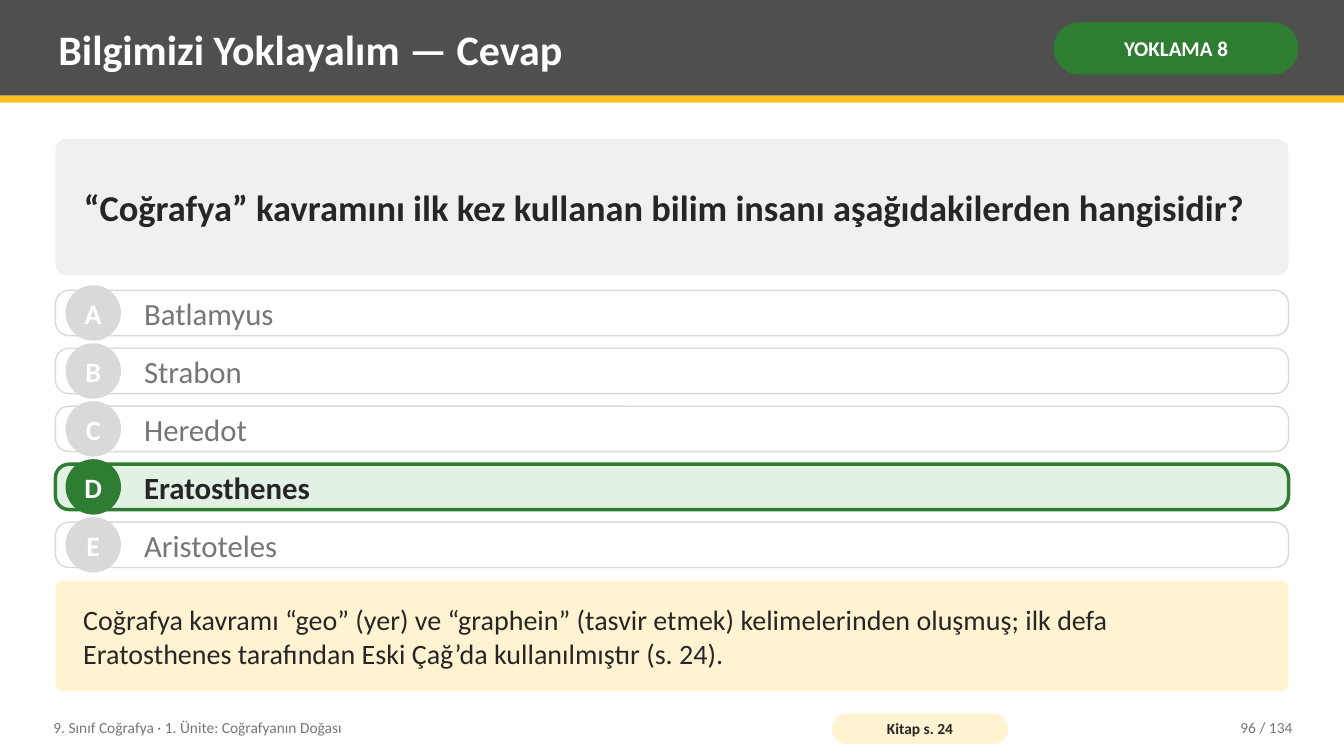
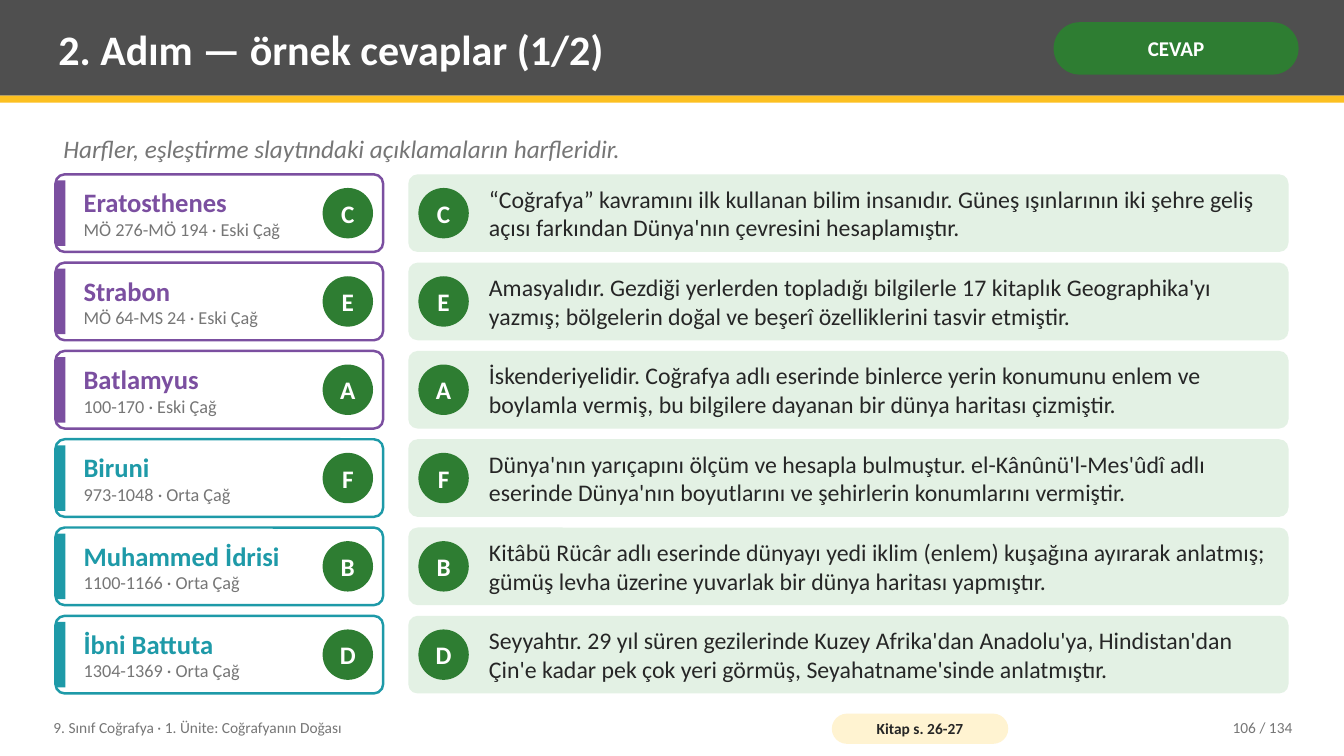
import dataclasses
import pptx
import pptx.util
import pptx.dml.color
import pptx.enum.shapes
import pptx.enum.text

Inches = pptx.util.Inches
SHAPE = pptx.enum.shapes.MSO_SHAPE
ALIGN = pptx.enum.text.PP_ALIGN


@dataclasses.dataclass(frozen=True)
class Theme:
    font: str = "Calibri"
    white: str = "FFFFFF"
    ink: str = "262626"
    muted: str = "767676"
    band: str = "4F4F4F"
    gold: str = "FCC021"
    cream: str = "FFF3D1"
    green: str = "2E7D32"
    mint: str = "E3F1E4"
    pale: str = "F0F0F0"
    rule: str = "D9D9D9"
    purple: str = "7B4FA0"
    teal: str = "1E9AA8"
    title: int = 30
    ask: int = 26
    choice: int = 22
    body: int = 20
    name: int = 19
    lead: int = 18
    match: int = 17
    tag: int = 15
    date: int = 13
    foot: int = 11


@dataclasses.dataclass(frozen=True)
class Run:
    text: str
    size: int
    color: str
    bold: bool = False
    slant: bool = False


T = Theme()
LEFT, WIDTH = 0.55, 12.23
PAD = (0.08, 0.04)
SLIM = (0.08, 0.02)
CARD = (0.25, 0.08)

CHOICES = ["Batlamyus", "Strabon", "Heredot", "Eratosthenes", "Aristoteles"]

PEOPLE = [
    ("Eratosthenes", "MÖ 276-MÖ 194 · Eski Çağ", "C", T.purple,
     "“Coğrafya” kavramını ilk kullanan bilim insanıdır. Güneş ışınlarının iki "
     "şehre geliş açısı farkından Dünya'nın çevresini hesaplamıştır."),
    ("Strabon", "MÖ 64-MS 24 · Eski Çağ", "E", T.purple,
     "Amasyalıdır. Gezdiği yerlerden topladığı bilgilerle 17 kitaplık Geographika'yı "
     "yazmış; bölgelerin doğal ve beşerî özelliklerini tasvir etmiştir."),
    ("Batlamyus", "100-170 · Eski Çağ", "A", T.purple,
     "İskenderiyelidir. Coğrafya adlı eserinde binlerce yerin konumunu enlem ve "
     "boylamla vermiş, bu bilgilere dayanan bir dünya haritası çizmiştir."),
    ("Biruni", "973-1048 · Orta Çağ", "F", T.teal,
     "Dünya'nın yarıçapını ölçüm ve hesapla bulmuştur. el-Kânûnü'l-Mes'ûdî adlı "
     "eserinde Dünya'nın boyutlarını ve şehirlerin konumlarını vermiştir."),
    ("Muhammed İdrisi", "1100-1166 · Orta Çağ", "B", T.teal,
     "Kitâbü Rücâr adlı eserinde dünyayı yedi iklim (enlem) kuşağına ayırarak anlatmış; "
     "gümüş levha üzerine yuvarlak bir dünya haritası yapmıştır."),
    ("İbni Battuta", "1304-1369 · Orta Çağ", "D", T.teal,
     "Seyyahtır. 29 yıl süren gezilerinde Kuzey Afrika'dan Anadolu'ya, Hindistan'dan "
     "Çin'e kadar pek çok yeri görmüş, Seyahatname'sinde anlatmıştır."),
]


def tint(code):
    return pptx.dml.color.RGBColor.from_string(code)


def write(shape, runs, pad=PAD, align=ALIGN.LEFT, wrap=True):
    frame = shape.text_frame
    frame.word_wrap = wrap
    frame.auto_size = pptx.enum.text.MSO_AUTO_SIZE.NONE
    frame.vertical_anchor = pptx.enum.text.MSO_ANCHOR.MIDDLE
    frame.margin_left = frame.margin_right = Inches(pad[0])
    frame.margin_top = frame.margin_bottom = Inches(pad[1])
    for i, item in enumerate(runs):
        para = frame.add_paragraph() if i else frame.paragraphs[0]
        para.alignment = align
        run = para.add_run()
        run.text = item.text
        font = run.font
        font.name, font.size = T.font, pptx.util.Pt(item.size)
        font.bold, font.italic = item.bold, item.slant
        font.color.rgb = tint(item.color)


def draw(slide, kind, box, fill, edge=None, thick=1, curve=None):
    shape = slide.shapes.add_shape(kind, *map(Inches, box))
    shape.shadow.inherit = False
    shape.fill.solid()
    shape.fill.fore_color.rgb = tint(fill)
    if edge:
        shape.line.color.rgb = tint(edge)
        shape.line.width = pptx.util.Pt(thick)
    else:
        shape.line.fill.background()
    if curve is not None:
        shape.adjustments[0] = curve
    return shape


def panel(slide, box, fill, curve, **edge):
    return draw(slide, SHAPE.ROUNDED_RECTANGLE, box, fill, curve=curve, **edge)


def label(slide, box, *runs, **style):
    write(slide.shapes.add_textbox(*map(Inches, box)), runs, **style)


def pill(slide, box, fill, run, pad):
    write(panel(slide, box, fill, 0.5), [run], pad, ALIGN.CENTER)


def badge(slide, left, mid, side, mark, size, fill=T.green):
    disc = draw(slide, SHAPE.OVAL, (left, mid - side / 2, side, side), fill)
    write(disc, [Run(mark, size, T.white, True)], (0, 0), ALIGN.CENTER, False)


def start(deck, title, tag, source, page):
    slide = deck.slides.add_slide(deck.slide_layouts[5])
    draw(slide, SHAPE.RECTANGLE, (0, 0, 13.33, 0.95), T.band)
    draw(slide, SHAPE.RECTANGLE, (0, 0.95, 13.33, 0.07), T.gold)
    head = slide.shapes.title
    head.element.getparent().append(head.element)
    head.left, head.top, head.width, head.height = map(Inches, (0.5, 0.07, 9.75, 0.82))
    write(head, [Run(title, T.title, T.white, True)])
    pill(slide, (10.45, 0.22, 2.43, 0.52), T.green,
         Run(tag, T.tag, T.white, True), (0.05, 0.02))
    label(slide, (0.45, 7.04, 7.6, 0.36),
          Run("9. Sınıf Coğrafya · 1. Ünite: Coğrafyanın Doğası", T.foot, T.muted))
    pill(slide, (8.25, 7.08, 1.75, 0.3), T.cream,
         Run(source, T.foot, T.ink, True), (0.04, 0))
    label(slide, (11.3, 7.04, 1.6, 0.36),
          Run(f"{page} / 134", T.foot, T.muted), align=ALIGN.RIGHT)
    return slide


def option(slide, top, mark, text, right):
    high = 0.45
    if right:
        fill, edge, thick, disc, ink = T.mint, T.green, 2.5, T.green, T.ink
    else:
        fill, edge, thick, disc, ink = T.white, T.rule, 1, T.rule, T.muted
    panel(slide, (LEFT, top, WIDTH, high), fill, 0.3, edge=edge, thick=thick)
    badge(slide, 0.65, top + high / 2, 0.55, mark, T.body, disc)
    label(slide, (1.35, top, 11.23, high), Run(text, T.choice, ink, right))


def person(slide, top, name, dates, mark, color, text):
    high, bar = 0.77, 0.65
    mid = top + high / 2
    panel(slide, (LEFT, top, 3.25, high), T.white, 0.12, edge=color, thick=1.75)
    draw(slide, SHAPE.RECTANGLE, (LEFT, mid - bar / 2, 0.1, bar), color)
    label(slide, (0.75, top, 2.4, high), Run(name, T.name, color, True),
          Run(dates, T.date, T.muted), pad=SLIM)
    panel(slide, (4.05, top, 8.73, high), T.mint, 0.12)
    for left in (3.2, 4.15):
        badge(slide, left, mid, 0.5, mark, T.lead)
    label(slide, (4.77, top, 7.93, high), Run(text, T.match, T.ink), pad=SLIM)


def quiz(deck):
    slide = start(deck, "Bilgimizi Yoklayalım — Cevap", "YOKLAMA 8", "Kitap s. 24", 96)
    ask = panel(slide, (LEFT, 1.38, WIDTH, 1.35), T.pale, 0.08)
    write(ask, [Run("“Coğrafya” kavramını ilk kez kullanan bilim insanı "
                    "aşağıdakilerden hangisidir?", T.ask, T.ink, True)], CARD)
    first, last = 2.88, 5.18
    step = (last - first) / (len(CHOICES) - 1)
    for i, (mark, text) in enumerate(zip("ABCDE", CHOICES)):
        option(slide, first + i * step, mark, text, mark == "D")
    note = panel(slide, (LEFT, 5.76, WIDTH, 1.1), T.cream, 0.08)
    write(note, [Run("Coğrafya kavramı “geo” (yer) ve “graphein” (tasvir etmek) "
                     "kelimelerinden oluşmuş; ilk defa Eratosthenes tarafından "
                     "Eski Çağ’da kullanılmıştır (s. 24).", T.body, T.ink)], CARD)


def pairs(deck):
    slide = start(deck, "2. Adım — örnek cevaplar (1/2)", "CEVAP", "Kitap s. 26-27", 106)
    label(slide, (LEFT, 1.26, WIDTH, 0.42),
          Run("Harfler, eşleştirme slaytındaki açıklamaların harfleridir.",
              T.lead, T.muted, slant=True))
    first, last = 1.73, 6.11
    step = (last - first) / (len(PEOPLE) - 1)
    for i, row in enumerate(PEOPLE):
        person(slide, first + i * step, *row)


def main():
    deck = pptx.Presentation()
    deck.slide_width, deck.slide_height = Inches(13.33), Inches(7.5)
    quiz(deck)
    pairs(deck)
    deck.save("out.pptx")


if __name__ == "__main__":
    main()
